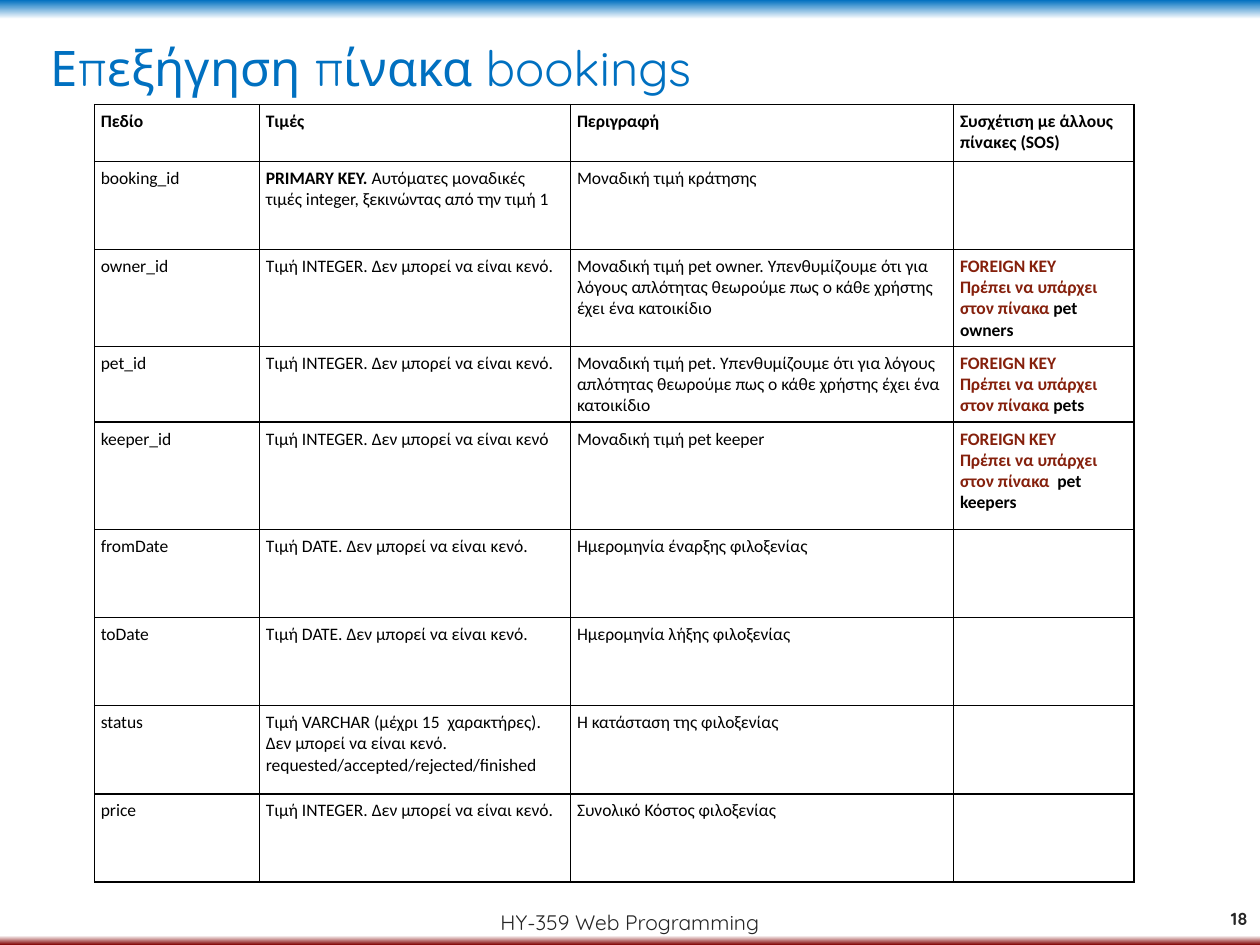
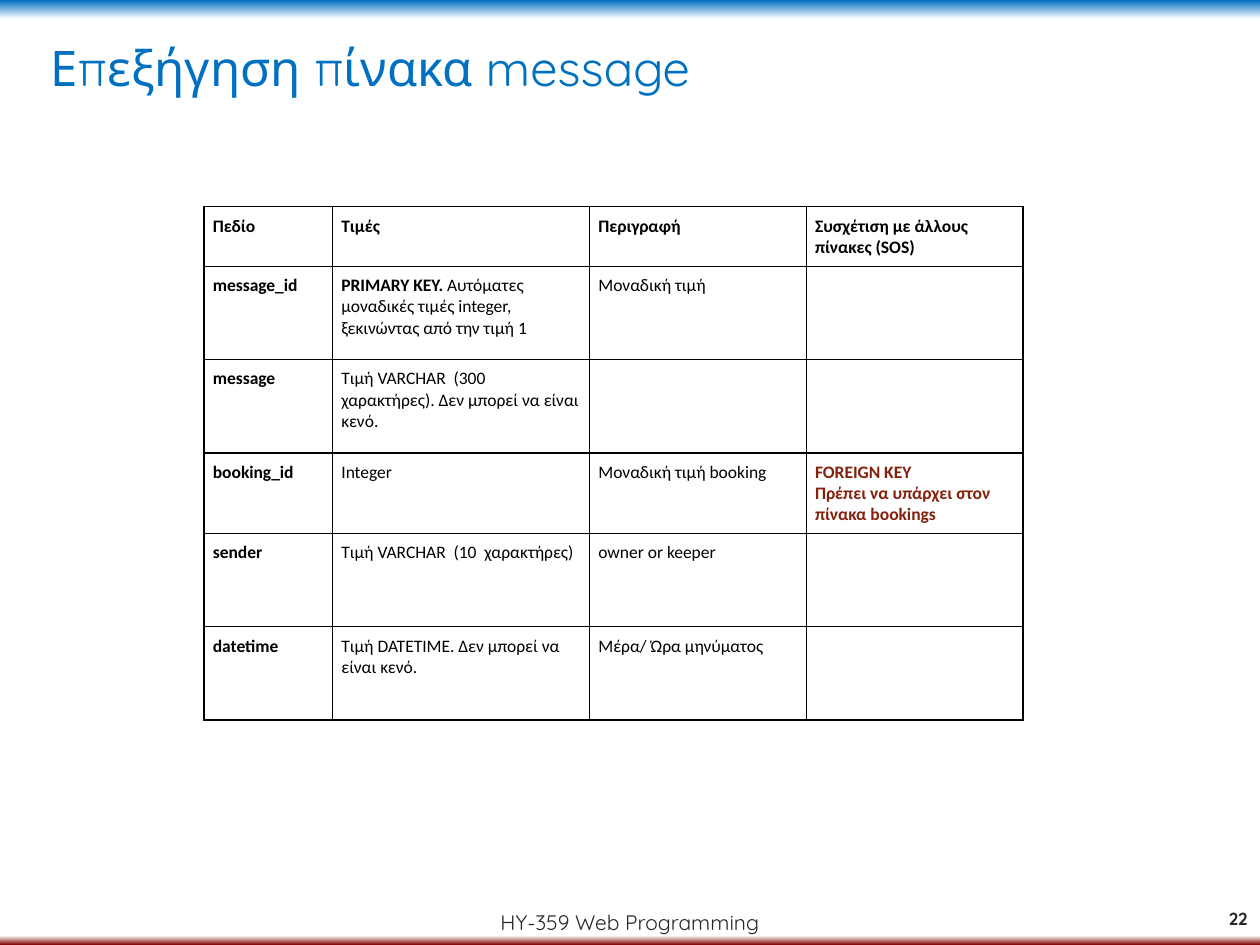
from dataclasses import dataclass
from typing import NamedTuple

from lxml.etree import SubElement
from pptx import Presentation
from pptx.dml.color import RGBColor
from pptx.enum.shapes import MSO_SHAPE as Shape
from pptx.enum.text import MSO_ANCHOR as Anchor, PP_ALIGN as Align
from pptx.oxml.ns import qn
from pptx.util import Inches, Pt

BLUE, MAROON, WHITE, BLACK = "0070C0", "800000", "FFFFFF", "000000"
FOOTER_GREY, KEY_RED = "262626", "85200C"
HEADING_FONT, TABLE_FONT = "Quicksand", "Calibri"
BACKGROUND_STOPS = ((0, BLUE), (2, WHITE), (99, WHITE), (100, MAROON))


class Span(NamedTuple):
    text: str
    bold: bool = False
    color: str = BLACK


Cell = list[list[Span]]  # paragraphs of spans


class TextStyle(NamedTuple):
    left: float
    top: float
    width: float
    height: float
    size: int
    color: str
    bold: bool = False
    align: Align = Align.LEFT
    anchor: Anchor = Anchor.TOP


TITLE = TextStyle(0.3, 0.25, 9.41, 0.71, 28, BLUE)
FOOTER = TextStyle(0, 7.09, 10, 0.45, 12, FOOTER_GREY, False, Align.CENTER, Anchor.MIDDLE)
PAGE_NUMBER = TextStyle(9.46, 7.09, 0.54, 0.4, 10, FOOTER_GREY, True, Align.RIGHT, Anchor.MIDDLE)


@dataclass
class FieldTable:
    left: float
    top: float
    columns: list[float]
    heights: list[float]
    margin: float
    rows: list[list[Cell]]


@dataclass
class TablePage:
    title: str
    number: int
    table: FieldTable


def rgb(color: str) -> RGBColor:
    return RGBColor.from_string(color)


def plain(text: str) -> Cell:
    return [[Span(text)]]


def bold(text: str) -> Cell:
    return [[Span(text, True)]]


def foreign_key(lead: str, target: str, target_color: str = BLACK) -> Cell:
    return [
        [Span("FOREIGN KEY", True, KEY_RED)],
        [Span(lead, True, KEY_RED), Span(target, True, target_color)],
    ]


EMPTY: Cell = []
HEADER = [bold(text) for text in
          ("Πεδίο", "Τιμές", "Περιγραφή", "Συσχέτιση με άλλους πίνακες (SOS)")]
PRIMARY_KEY: Cell = [[
    Span("PRIMARY KEY.", True),
    Span(" Αυτόματες μοναδικές τιμές integer, ξεκινώντας από την τιμή 1"),
]]
NOT_EMPTY = "Δεν μπορεί να είναι κενό."
INTEGER = plain(f"Τιμή INTEGER. {NOT_EMPTY}")
DATE = plain(f"Τιμή DATE. {NOT_EMPTY}")
MUST_EXIST = "Πρέπει να υπάρχει στον πίνακα "
ONE_PET = ("Υπενθυμίζουμε ότι για λόγους απλότητας θεωρούμε πως "
           "ο κάθε χρήστης έχει ένα κατοικίδιο")

BOOKINGS = FieldTable(
    0.75, 0.83, [1.31, 2.47, 3.04, 1.43],
    [0.45, 0.7, 0.77, 0.6, 0.85, 0.7, 0.7, 0.7, 0.7], 0.05,
    [
        HEADER,
        [plain("booking_id"), PRIMARY_KEY, plain("Μοναδική τιμή κράτησης"), EMPTY],
        [plain("οwner_id"), INTEGER, plain(f"Μοναδική τιμή pet owner. {ONE_PET}"),
         foreign_key(MUST_EXIST, "pet owners")],
        [plain("pet_id"), INTEGER, plain(f"Μοναδική τιμή pet. {ONE_PET}"),
         foreign_key(MUST_EXIST, "pets")],
        [plain("keeper_id"), plain("Τιμή INTEGER. Δεν μπορεί να είναι κενό"),
         plain("Μοναδική τιμή pet keeper"),
         foreign_key("Πρέπει να υπάρχει στον πίνακα  ", "pet keepers")],
        [plain("fromDate"), DATE, plain("Ημερομηνία έναρξης φιλοξενίας"), EMPTY],
        [plain("toDate"), DATE, plain("Ημερομηνία λήξης φιλοξενίας"), EMPTY],
        [plain("status"),
         plain(f"Τιμή VARCHAR (μέχρι 15  χαρακτήρες). {NOT_EMPTY} "
               "requested/accepted/rejected/finished"),
         plain("Η κατάσταση της φιλοξενίας"), EMPTY],
        [plain("price"), INTEGER, plain("Συνολικό Κόστος φιλοξενίας"), EMPTY],
    ],
)

MESSAGE = FieldTable(
    1.62, 1.64, [1.02, 2.04, 1.72, 1.72],
    [0.47, 0.74, 0.74, 0.64, 0.74, 0.74], 0.07,
    [
        HEADER,
        [bold("message_id"), PRIMARY_KEY, plain("Μοναδική τιμή"), EMPTY],
        [bold("message"), plain(f"Τιμή VARCHAR  (300 χαρακτήρες). {NOT_EMPTY}"), EMPTY, EMPTY],
        [bold("booking_id"), plain("Integer"), plain("Μοναδική τιμή booking"),
         foreign_key(MUST_EXIST, "bookings", KEY_RED)],
        [bold("sender"), plain("Τιμή VARCHAR  (10  χαρακτήρες)"),
         plain("owner or keeper"), EMPTY],
        [bold("datetime"), plain(f"Τιμή DATETIME. {NOT_EMPTY}"),
         plain("Μέρα/ Ώρα μηνύματος"), EMPTY],
    ],
)

PAGES = [
    TablePage("Επεξήγηση πίνακα bookings", 18, BOOKINGS),
    TablePage("Επεξήγηση πίνακα message", 22, MESSAGE),
]


def set_background(master) -> None:
    """Give the master the blue-to-white-to-maroon vertical gradient."""
    fill = master.background.fill
    fill.gradient()
    fill.gradient_angle = 270
    stops = master.element.find(".//" + qn("a:gsLst"))
    for stop in list(stops):
        stops.remove(stop)
    for percent, color in BACKGROUND_STOPS:
        stop = SubElement(stops, qn("a:gs"), pos=str(percent * 1000))
        SubElement(stop, qn("a:srgbClr"), val=color)


def add_text(page, text: str, style: TextStyle) -> None:
    box = page.shapes.add_textbox(Inches(style.left), Inches(style.top),
                                  Inches(style.width), Inches(style.height))
    frame = box.text_frame
    frame.word_wrap = True
    frame.vertical_anchor = style.anchor
    para = frame.paragraphs[0]
    para.text = text
    para.alignment = style.align
    font = para.font
    font.name, font.size, font.bold = HEADING_FONT, Pt(style.size), style.bold
    font.color.rgb = rgb(style.color)


def add_panel(page) -> None:
    panel = page.shapes.add_shape(Shape.RECTANGLE, Inches(0.5), Inches(0.36),
                                  Inches(9.22), Inches(6.76))
    panel.shadow.inherit = False
    panel.fill.solid()
    panel.fill.fore_color.rgb = rgb(WHITE)
    panel.line.fill.background()


def add_borders(cell) -> None:
    properties = cell._tc.get_or_add_tcPr()
    for side in ("lnL", "lnR", "lnT", "lnB"):
        line = SubElement(properties, qn(f"a:{side}"), w=str(Pt(1)))
        fill = SubElement(line, qn("a:solidFill"))
        SubElement(fill, qn("a:srgbClr"), val=BLACK)


def fill_cell(cell, content: Cell, margin: float) -> None:
    cell.margin_left = cell.margin_right = Inches(margin)
    cell.margin_top = cell.margin_bottom = Inches(margin)
    add_borders(cell)
    cell.fill.background()
    frame = cell.text_frame
    for index, spans in enumerate(content or [[]]):
        para = frame.add_paragraph() if index else frame.paragraphs[0]
        para.font.name, para.font.size = TABLE_FONT, Pt(10)
        for span in spans:
            run = para.add_run()
            run.text = span.text
            run.font.bold = span.bold
            run.font.color.rgb = rgb(span.color)


def add_field_table(page, spec: FieldTable) -> None:
    table = page.shapes.add_table(
        len(spec.rows), len(spec.columns), Inches(spec.left), Inches(spec.top),
        Inches(sum(spec.columns)), Inches(sum(spec.heights))).table
    table.first_row = table.horz_banding = False
    for column, width in zip(table.columns, spec.columns):
        column.width = Inches(width)
    for row, height, contents in zip(table.rows, spec.heights, spec.rows):
        row.height = Inches(height)
        for cell, content in zip(row.cells, contents):
            fill_cell(cell, content, spec.margin)


def main() -> None:
    deck = Presentation()
    deck.slide_width, deck.slide_height = Inches(10), Inches(7.5)
    set_background(deck.slide_master)
    blank = deck.slide_layouts[6]
    for content in PAGES:
        page = deck.slides.add_slide(blank)
        add_panel(page)
        add_text(page, "HY-359 Web Programming", FOOTER)
        add_text(page, str(content.number), PAGE_NUMBER)
        add_text(page, content.title, TITLE)
        add_field_table(page, content.table)
    deck.save("out.pptx")


if __name__ == "__main__":
    main()
